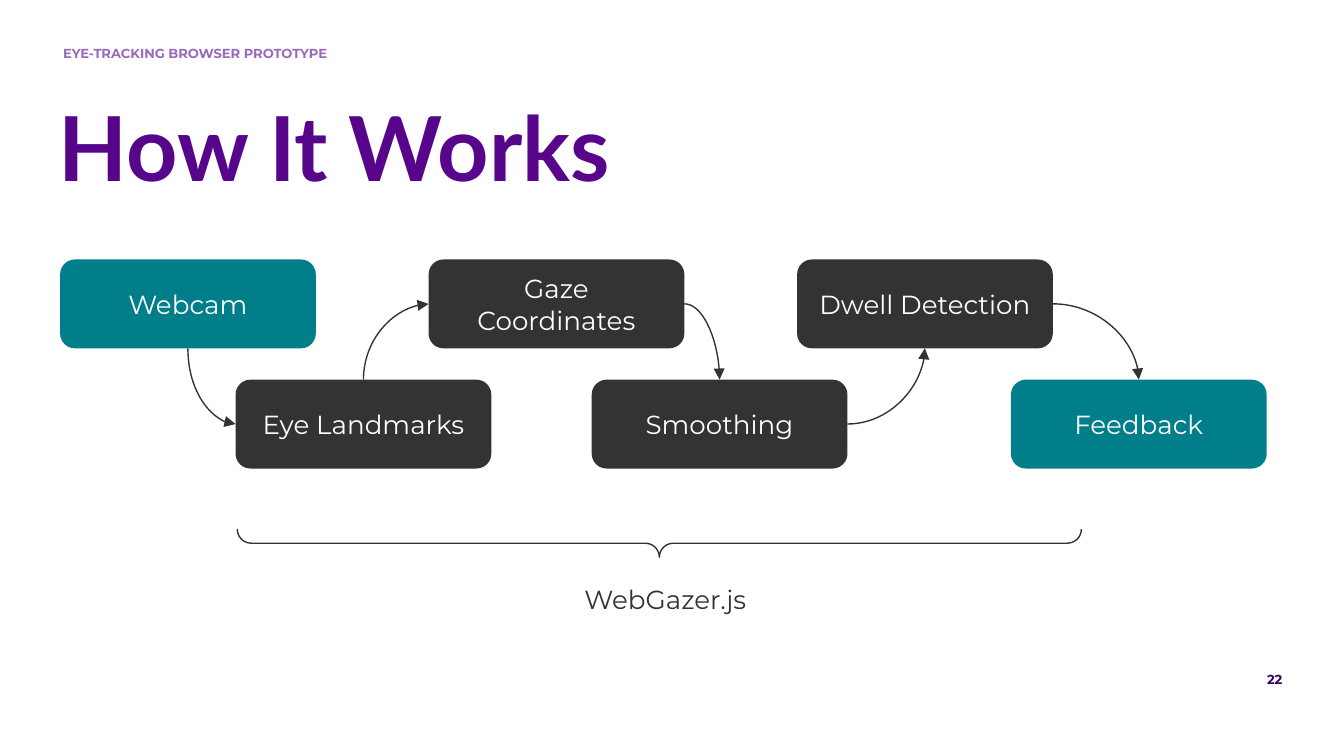
from itertools import pairwise

from lxml.etree import SubElement
from pptx import Presentation
from pptx.dml.color import RGBColor
from pptx.enum.shapes import MSO_CONNECTOR, MSO_SHAPE
from pptx.enum.text import MSO_ANCHOR as ANCHOR, PP_ALIGN as ALIGN
from pptx.oxml.ns import qn
from pptx.util import Pt

TOP, LEFT, BOTTOM, RIGHT = range(4)
INSET = 7.2


def color(hex_string):
    return RGBColor.from_string(hex_string)


def write(shape, text, *, size=14, font="Montserrat", fill="333333", bold=False,
          align=ALIGN.LEFT, anchor=ANCHOR.TOP):
    frame = shape.text_frame
    frame.word_wrap = True
    frame.vertical_anchor = anchor
    frame.margin_left = frame.margin_right = Pt(INSET)
    frame.margin_top = frame.margin_bottom = Pt(INSET)
    paragraph = frame.paragraphs[0]
    paragraph.alignment = align
    run = paragraph.add_run()
    run.text = text
    run.font.size = Pt(size)
    run.font.name = font
    run.font.bold = bold
    run.font.color.rgb = color(fill)


class FlowSlide:
    DARK, TEAL, WHITE = "333333", "007E8A", "FFFFFF"
    PURPLE, LILAC, INDIGO = "57068C", "9A6ABA", "330662"
    LINE_WIDTH = 0.75
    STEP_WIDTH, STEP_HEIGHT = 137, 47.6

    def __init__(self, presentation):
        self.slide = presentation.slides.add_slide(presentation.slide_layouts[6])
        self.shapes = self.slide.shapes

    def text(self, left, top, width, height, text, **style):
        box = self.shapes.add_textbox(Pt(left), Pt(top), Pt(width), Pt(height))
        write(box, text, **style)

    def step(self, left, top, label, fill):
        shape = self.shapes.add_shape(MSO_SHAPE.ROUNDED_RECTANGLE, Pt(left), Pt(top),
                                      Pt(self.STEP_WIDTH), Pt(self.STEP_HEIGHT))
        shape.shadow.inherit = False
        shape.fill.solid()
        shape.fill.fore_color.rgb = color(fill)
        shape.line.fill.background()
        write(shape, label, fill=self.WHITE, align=ALIGN.CENTER, anchor=ANCHOR.MIDDLE)
        return shape

    def outline(self, line):
        line.color.rgb = color(self.DARK)
        line.width = Pt(self.LINE_WIDTH)

    def curved_arrow(self, source, source_side, target, target_side):
        """Join two steps with a quarter-turn curve that ends in an arrowhead."""
        connector = self.shapes.add_connector(MSO_CONNECTOR.CURVE, 0, 0, 0, 0)
        connector.begin_connect(source, source_side)
        connector.end_connect(target, target_side)
        self.outline(connector.line)
        properties = connector._element.spPr
        properties.find(qn("a:prstGeom")).set("prst", "curvedConnector2")
        if source_side in (TOP, BOTTOM):
            self.start_vertically(connector, source_side)
        tail = SubElement(connector.line._get_or_add_ln(), qn("a:tailEnd"))
        tail.set("type", "triangle")
        SubElement(properties, qn("a:effectLst"))

    def start_vertically(self, connector, side):
        """Turn the curve about its centre so that it leaves up or down."""
        width, height = connector.width, connector.height
        connector.left += (width - height) // 2
        connector.top += (height - width) // 2
        connector.width, connector.height = height, width
        transform = connector._element.spPr.find(qn("a:xfrm"))
        transform.set("rot", str(270 * 60000))
        transform.set("flipH", str(int(side == BOTTOM)))
        transform.set("flipV", "0")

    def brace(self, left, top, width, height):
        """Draw a brace that opens upward, as a left brace on its side."""
        shape = self.shapes.add_shape(
            MSO_SHAPE.LEFT_BRACE, Pt(left + (width - height) / 2),
            Pt(top + (height - width) / 2), Pt(height), Pt(width))
        shape.rotation = 270
        shape.adjustments[0] = shape.adjustments[1] = 0.5
        shape.shadow.inherit = False
        shape.fill.background()
        self.outline(shape.line)


def main():
    presentation = Presentation()
    presentation.slide_width, presentation.slide_height = Pt(720), Pt(405)
    page = FlowSlide(presentation)

    page.text(363.6, 355.6, 330.5, 24.5, "22", size=7, bold=True,
              fill=page.INDIGO, align=ALIGN.RIGHT)
    page.text(24.5, 41.8, 663, 64, "How It Works", size=48, font="Lato", bold=True,
              fill=page.PURPLE)
    page.text(26.8, 20.2, 191.5, 24.5, "EYE-TRACKING BROWSER PROTOTYPE", size=7,
              bold=True, fill=page.LILAC)

    upper, lower = 139, 203.4
    steps = [page.step(*step) for step in (
        (32.2, upper, "Webcam", page.TEAL),
        (126.2, lower, "Eye Landmarks", page.DARK),
        (229.6, upper, "Gaze Coordinates", page.DARK),
        (317, lower, "Smoothing", page.DARK),
        (427, upper, "Dwell Detection", page.DARK),
        (541.6, lower, "Feedback", page.TEAL),
    )]
    sides = ((BOTTOM, LEFT), (TOP, LEFT), (RIGHT, TOP), (RIGHT, BOTTOM), (RIGHT, TOP))
    for (source, target), (source_side, target_side) in zip(pairwise(steps), sides):
        page.curved_arrow(source, source_side, target, target_side)

    page.brace(127.1, 283.5, 452.2, 15)
    page.text(276.5, 305.3, 160, 31.7, "WebGazer.js", align=ALIGN.CENTER)

    presentation.save("out.pptx")


if __name__ == "__main__":
    main()
